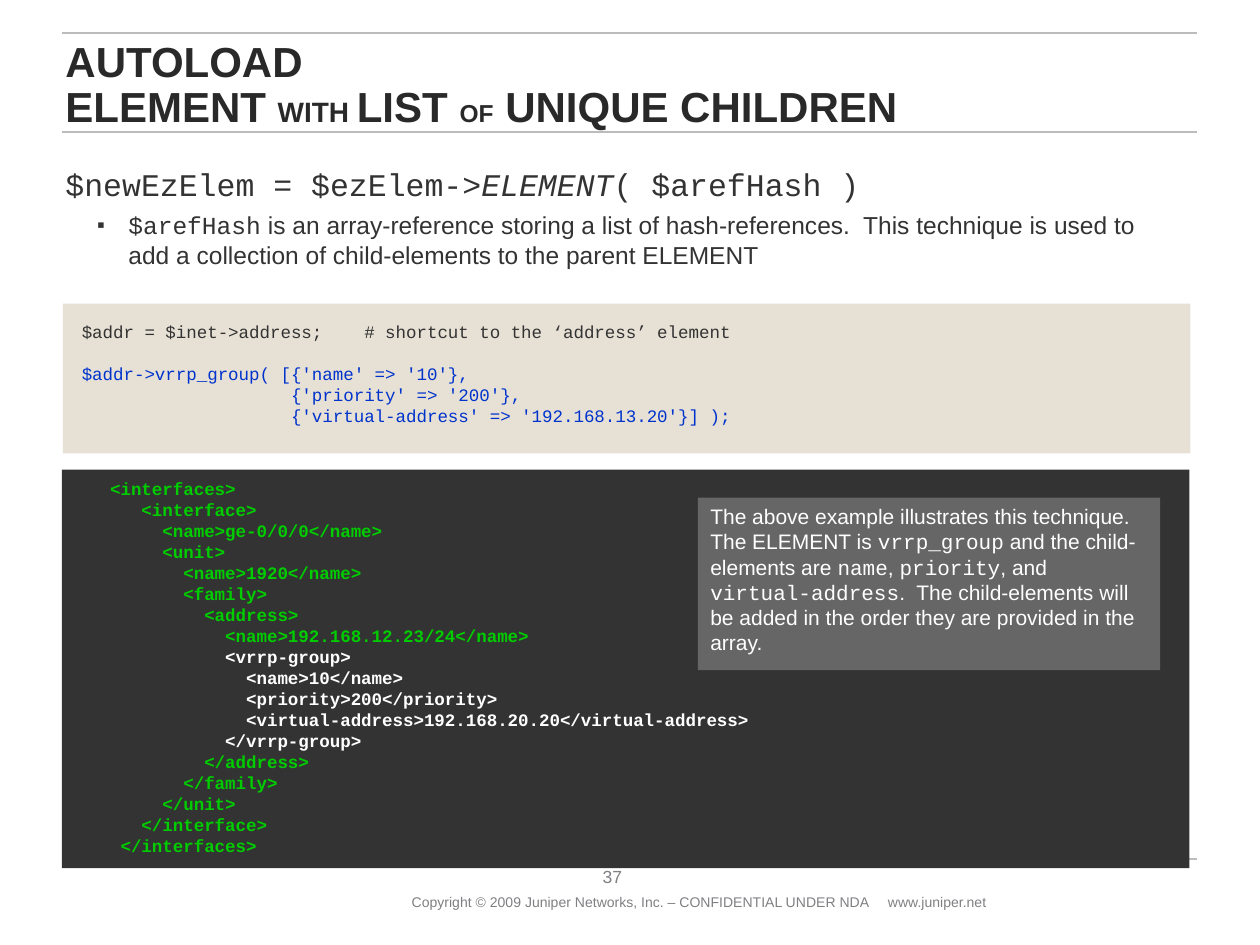
import pptx
import pptx.dml.color
import pptx.enum.shapes
import pptx.enum.text
import pptx.oxml
import pptx.oxml.ns
import pptx.util
from pptx.util import Cm

RGBColor = pptx.dml.color.RGBColor
RULE = RGBColor(0xBA, 0xBC, 0xBE)
FOOTER = RGBColor(0x80, 0x7F, 0x83)
TITLE = RGBColor(0x29, 0x29, 0x29)
CHARCOAL = RGBColor(0x33, 0x33, 0x33)
SAND = RGBColor(0xE7, 0xE1, 0xD5)
BLUE = RGBColor(0x00, 0x33, 0xCC)
GREEN = RGBColor(0x00, 0xCC, 0x00)
WHITE = RGBColor(0xFF, 0xFF, 0xFF)
HAZE = RGBColor(0xDD, 0xDD, 0xDD)
SANS = "Arial"
MONO = "Courier New"

PERL_LINES = [
    "$addr = $inet->address;    # shortcut to the ‘address’ element",
    "$addr->vrrp_group( [{'name' => '10'},",
    "                    {'priority' => '200'},",
    "                    {'virtual-address' => '192.168.13.20'}] );",
]
XML_LINES = [
    " <interfaces>",
    "    <interface>",
    "      <name>ge-0/0/0</name>",
    "      <unit>",
    "        <name>1920</name>",
    "        <family>",
    "          <address>",
    "            <name>192.168.12.23/24</name>",
    "            <vrrp-group>",
    "              <name>10</name>",
    "              <priority>200</priority>",
    "              <virtual-address>192.168.20.20</virtual-address>",
    "            </vrrp-group>",
    "          </address>",
    "        </family>",
    "      </unit>",
    "    </interface>",
    "  </interfaces>",
]


def format_font(font, size, color, name=SANS, bold=False, italic=False):
    """Set the look of a font."""
    font.size = pptx.util.Pt(size)
    font.color.rgb = color
    font.name = name
    font.bold = bold
    font.italic = italic


def add_text_frame(slide, left, top, width, height):
    """Add a wrapping text box and return its text frame."""
    text_frame = slide.shapes.add_textbox(Cm(left), Cm(top), Cm(width), Cm(height)).text_frame
    text_frame.word_wrap = True
    return text_frame


def add_panel(slide, left, top, width, height, color):
    """Add a borderless filled rectangle."""
    panel = slide.shapes.add_shape(
        pptx.enum.shapes.MSO_SHAPE.RECTANGLE, Cm(left), Cm(top), Cm(width), Cm(height))
    panel.shadow.inherit = False
    panel.fill.solid()
    panel.fill.fore_color.rgb = color
    panel.line.fill.background()
    return panel


def add_pieces(paragraph, pieces, size, color):
    """Append runs given as text, font name and italic flag."""
    for text, name, italic in pieces:
        run = paragraph.add_run()
        run.text = text
        format_font(run.font, size, color, name, italic=italic)


def add_code(slide, left, top, width, height, lines, colors, bold=False):
    """Write one code line per paragraph, each in its own colour."""
    text_frame = add_text_frame(slide, left, top, width, height)
    text_frame.text = "\n".join(lines)
    for paragraph, color in zip(text_frame.paragraphs, colors):
        paragraph.line_spacing = pptx.util.Pt(12)
        format_font(paragraph.runs[0].font, 10, color, MONO, bold)
    return text_frame


def add_rules(slide, left, width, tops):
    """Draw the thin horizontal rules of the page."""
    for top in tops:
        rule = slide.shapes.add_connector(
            pptx.enum.shapes.MSO_CONNECTOR.STRAIGHT, Cm(left), Cm(top), Cm(left + width), Cm(top))
        rule.line.color.rgb = RULE
        rule.line.width = pptx.util.Pt(1)
        rule._element.spPr.append(pptx.oxml.parse_xml(
            f"<a:effectLst {pptx.oxml.ns.nsdecls('a')}/>"))


def add_footer(slide, left, top, width, height):
    """Place the page number above the copyright line."""
    number = add_text_frame(slide, left + 3.56, top, 1.47, 0.56)
    number.margin_left = number.margin_right = number.margin_top = number.margin_bottom = 0
    number.vertical_anchor = pptx.enum.text.MSO_ANCHOR.BOTTOM
    number.text = "37"
    number.paragraphs[0].alignment = pptx.enum.text.PP_ALIGN.CENTER
    format_font(number.paragraphs[0].runs[0].font, 10, FOOTER)

    notice = add_text_frame(slide, left, top + 0.56, width, height - 0.56)
    paragraph = notice.paragraphs[0]
    paragraph.text = "Copyright © 2009 Juniper Networks, Inc. – CONFIDENTIAL UNDER NDA\twww.juniper.net"
    paragraph._p.get_or_add_pPr().append(pptx.oxml.parse_xml(
        f"<a:tabLst {pptx.oxml.ns.nsdecls('a')}><a:tab pos=\"{Cm(9.6)}\" algn=\"l\"/></a:tabLst>"))
    for run in paragraph.runs:
        format_font(run.font, 8, FOOTER)


def add_title(slide, left, top, width, height):
    """Write the two-line heading with small connecting words."""
    text_frame = add_text_frame(slide, left, top, width, height)
    text_frame.margin_left = 0
    text_frame.vertical_anchor = pptx.enum.text.MSO_ANCHOR.BOTTOM
    paragraph = text_frame.paragraphs[0]
    paragraph.text = "AUTOLOAD\vELEMENT "
    paragraph.line_spacing = pptx.util.Pt(25.8)
    for run in paragraph.runs:
        format_font(run.font, 24, TITLE, bold=True)
    for text, size in [("WITH ", 16), ("LIST ", 24), ("OF", 14), (" UNIQUE CHILDREN", 24)]:
        run = paragraph.add_run()
        run.text = text
        format_font(run.font, size, TITLE, bold=True)


def add_body(slide, left, top, width, height):
    """Write the call signature and its bulleted explanation."""
    text_frame = add_text_frame(slide, left, top, width, height)
    text_frame.margin_left = 0
    signature = text_frame.paragraphs[0]
    signature.line_spacing = pptx.util.Pt(21.6)
    signature.space_after = pptx.util.Pt(4)
    signature._p.get_or_add_pPr().set("marL", str(Cm(0.3)))
    add_pieces(signature, [("$newEzElem = $ezElem->", MONO, False), ("ELEMENT", MONO, True),
                           ("( $arefHash )", MONO, False)], 18, CHARCOAL)

    explanation = text_frame.add_paragraph()
    explanation.level = 1
    explanation.line_spacing = pptx.util.Pt(17)
    properties = explanation._p.get_or_add_pPr()
    properties.set("marL", str(Cm(1.57)))
    properties.set("indent", str(-Cm(0.63)))
    for bullet in ('<a:buClr {}><a:srgbClr val="333333"/></a:buClr>', '<a:buSzPct {} val="90000"/>',
                   '<a:buFont {} typeface="Arial"/>', '<a:buChar {} char="▪"/>'):
        properties.append(pptx.oxml.parse_xml(bullet.format(pptx.oxml.ns.nsdecls("a"))))
    add_pieces(explanation, [
        ("$arefHash", MONO, False),
        (" is an array-reference storing a list of hash-references.  This technique is used to "
         "add a collection of child-elements to the parent ELEMENT", SANS, False)], 14, CHARCOAL)


def add_perl_panel(slide, left, top, width, height):
    """Show the Perl call on a sand panel."""
    add_panel(slide, left, top, width, height, SAND)
    text_frame = add_code(slide, left + 0.13, top + 0.23, 16.87, height - 0.23,
                          PERL_LINES, [CHARCOAL] + [BLUE] * 3)
    text_frame.paragraphs[1].space_before = pptx.util.Pt(12)


def add_xml_panel(slide, left, top, width, height):
    """Show the resulting XML on a dark panel, the new group in white."""
    add_panel(slide, left, top, width, height, CHARCOAL)
    add_code(slide, left + 0.51, top + 0.05, 16.69, height - 0.13,
             XML_LINES, [GREEN] * 8 + [WHITE] * 5 + [GREEN] * 5, bold=True)


def add_callout(slide, left, top, width, height):
    """Explain the example in a translucent box."""
    callout = add_panel(slide, left, top, width, height, HAZE)
    color = callout._element.spPr.find(".//" + pptx.oxml.ns.qn("a:srgbClr"))
    color.append(pptx.oxml.parse_xml(f"<a:alpha {pptx.oxml.ns.nsdecls('a')} val=\"30000\"/>"))
    callout.text_frame.word_wrap = True
    callout.text_frame.vertical_anchor = pptx.enum.text.MSO_ANCHOR.TOP
    paragraph = callout.text_frame.paragraphs[0]
    paragraph.alignment = pptx.enum.text.PP_ALIGN.LEFT
    paragraph.line_spacing = pptx.util.Pt(14.4)
    texts = ["The above example illustrates this technique.  The ELEMENT is ", "vrrp_group",
             " and the child-elements are ", "name", ", ", "priority", ", and ", "virtual-address",
             ".  The child-elements will be added in the order they are provided in the array."]
    add_pieces(paragraph, [(text, (SANS, MONO)[index % 2], False)
                           for index, text in enumerate(texts)], 12, WHITE)


def main():
    """Build the slide and save it."""
    presentation = pptx.Presentation()
    presentation.slide_width = Cm(25.4)
    presentation.slide_height = Cm(19.05)
    slide = presentation.slides.add_slide(presentation.slide_layouts[6])
    add_rules(slide, 1.25, 22.88, [0.66, 2.66, 17.32])
    add_footer(slide, 8.05, 17.32, 12.32, 1.17)
    add_title(slide, 1.32, 0.71, 22.83, 2.06)
    add_body(slide, 1.02, 3.2, 22.83, 7)
    add_perl_panel(slide, 1.27, 6.12, 22.73, 3.02)
    add_xml_panel(slide, 1.25, 9.47, 22.73, 8.03)
    add_callout(slide, 14.07, 10.03, 9.32, 3.48)
    presentation.save("out.pptx")


if __name__ == "__main__":
    main()
